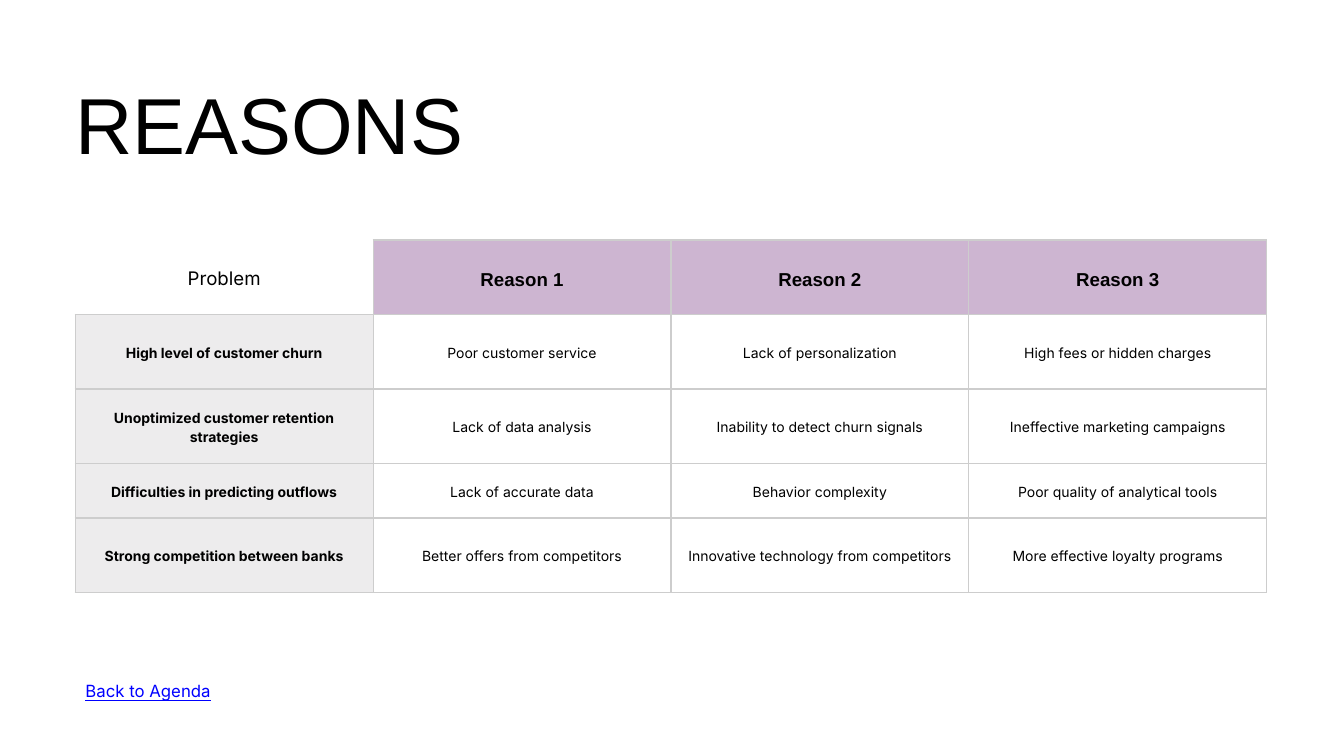
from dataclasses import dataclass

from lxml import etree
from pptx import Presentation
from pptx.dml.color import RGBColor
from pptx.enum.text import MSO_ANCHOR, PP_ALIGN
from pptx.oxml.ns import qn
from pptx.util import Inches, Pt

CENTER, LEFT, JUSTIFY = PP_ALIGN.CENTER, PP_ALIGN.LEFT, PP_ALIGN.JUSTIFY
MIDDLE = MSO_ANCHOR.MIDDLE


@dataclass(frozen=True)
class Theme:
    ink: str = "000000"
    link: str = "0000FF"
    header_fill: str = "CDB5D1"
    problem_fill: str = "EDECED"
    border: str = "CDCDCD"
    border_width: float = 1.5
    heading_font: str = "Arial"
    body_font: str = "Inter"
    title_size: int = 85
    header_size: int = 20
    body_size: int = 15
    link_size: int = 18


THEME = Theme()

HEADER = ["Problem", "Reason 1", "Reason 2", "Reason 3"]
PROBLEMS = [
    ["High level of customer churn", "Poor customer service",
     "Lack of personalization", "High fees or hidden charges"],
    ["Unoptimized customer retention strategies", "Lack of data analysis",
     "Inability to detect churn signals", "Ineffective marketing campaigns"],
    ["Difficulties in predicting outflows", "Lack of accurate data",
     "Behavior complexity", "Poor quality of analytical tools"],
    ["Strong competition between banks", "Better offers from competitors",
     "Innovative technology from competitors", "More effective loyalty programs"],
]
ROW_HEIGHTS = [1.11, 1.11, 1.11, 0.81, 1.11]
CELL_MARGIN = 0.21


def style_paragraph(paragraph, font, size, line, align, color=THEME.ink, bold=False):
    paragraph.alignment = align
    paragraph.line_spacing = Pt(line)
    paragraph.font.name = font
    paragraph.font.size = Pt(size)
    paragraph.font.bold = bold
    paragraph.font.color.rgb = RGBColor.from_string(color)


def set_borders(cell, hidden=""):
    """Draw the four cell borders, leaving out the sides named in hidden."""
    properties = cell._tc.get_or_add_tcPr()
    for side in "LRTB":
        width = 0 if side in hidden else Pt(THEME.border_width)
        line = etree.SubElement(properties, qn(f"a:ln{side}"), w=str(width))
        if side in hidden:
            etree.SubElement(line, qn("a:noFill"))
        else:
            fill = etree.SubElement(line, qn("a:solidFill"))
            etree.SubElement(fill, qn("a:srgbClr"), val=THEME.border)


def fill_cell(cell, color):
    if color:
        cell.fill.solid()
        cell.fill.fore_color.rgb = RGBColor.from_string(color)
    else:
        cell.fill.background()


def add_line_of_text(slide, box, text, **style):
    frame = slide.shapes.add_textbox(*map(Inches, box)).text_frame
    frame.word_wrap = True
    frame.margin_left = frame.margin_right = frame.margin_top = frame.margin_bottom = 0
    paragraph = frame.paragraphs[0]
    paragraph.text = text
    style_paragraph(paragraph, **style)
    return paragraph


def add_title(slide, box):
    add_line_of_text(slide, box, "REASONS", font=THEME.heading_font,
                     size=THEME.title_size, line=102, align=LEFT)


def add_agenda_label(slide, box):
    label = add_line_of_text(slide, box, "Back to Agenda", font=THEME.body_font,
                             size=THEME.link_size, line=23.4, align=JUSTIFY,
                             color=THEME.link)
    label.runs[0].font.underline = True


def add_reasons_table(slide, box):
    rows = [HEADER, *PROBLEMS]
    table = slide.shapes.add_table(len(rows), len(HEADER), *map(Inches, box)).table
    table.first_row = table.horz_banding = False
    for column in table.columns:
        column.width = Inches(box[2] / len(HEADER))
    for row, height in zip(table.rows, ROW_HEIGHTS):
        row.height = Inches(height)

    for r, texts in enumerate(rows):
        for c, text in enumerate(texts):
            cell = table.cell(r, c)
            is_header, is_problem = r == 0, c == 0
            is_corner = is_header and is_problem
            is_reason_heading = is_header and not is_problem

            set_borders(cell, hidden="LT" if is_corner else "")
            if is_corner:
                fill_cell(cell, None)
            elif is_header:
                fill_cell(cell, THEME.header_fill)
            else:
                fill_cell(cell, THEME.problem_fill if is_problem else None)

            cell.vertical_anchor = MIDDLE
            cell.margin_left = cell.margin_right = Inches(CELL_MARGIN)
            cell.margin_top = cell.margin_bottom = Inches(CELL_MARGIN)
            cell.text = text
            style_paragraph(
                cell.text_frame.paragraphs[0],
                font=THEME.heading_font if is_reason_heading else THEME.body_font,
                size=THEME.header_size if is_header else THEME.body_size,
                line=28 if is_header else 21,
                align=CENTER,
                bold=is_header != is_problem,
            )


def main():
    presentation = Presentation()
    presentation.slide_width = Inches(20)
    presentation.slide_height = Inches(11.25)
    slide = presentation.slides.add_slide(presentation.slide_layouts[6])
    add_reasons_table(slide, (1.12, 3.57, 17.73, sum(ROW_HEIGHTS)))
    add_title(slide, (1.12, 1.12, 12.82, 1.41))
    add_agenda_label(slide, (1.27, 10.1, 2.98, 0.32))
    presentation.save("out.pptx")


if __name__ == "__main__":
    main()
